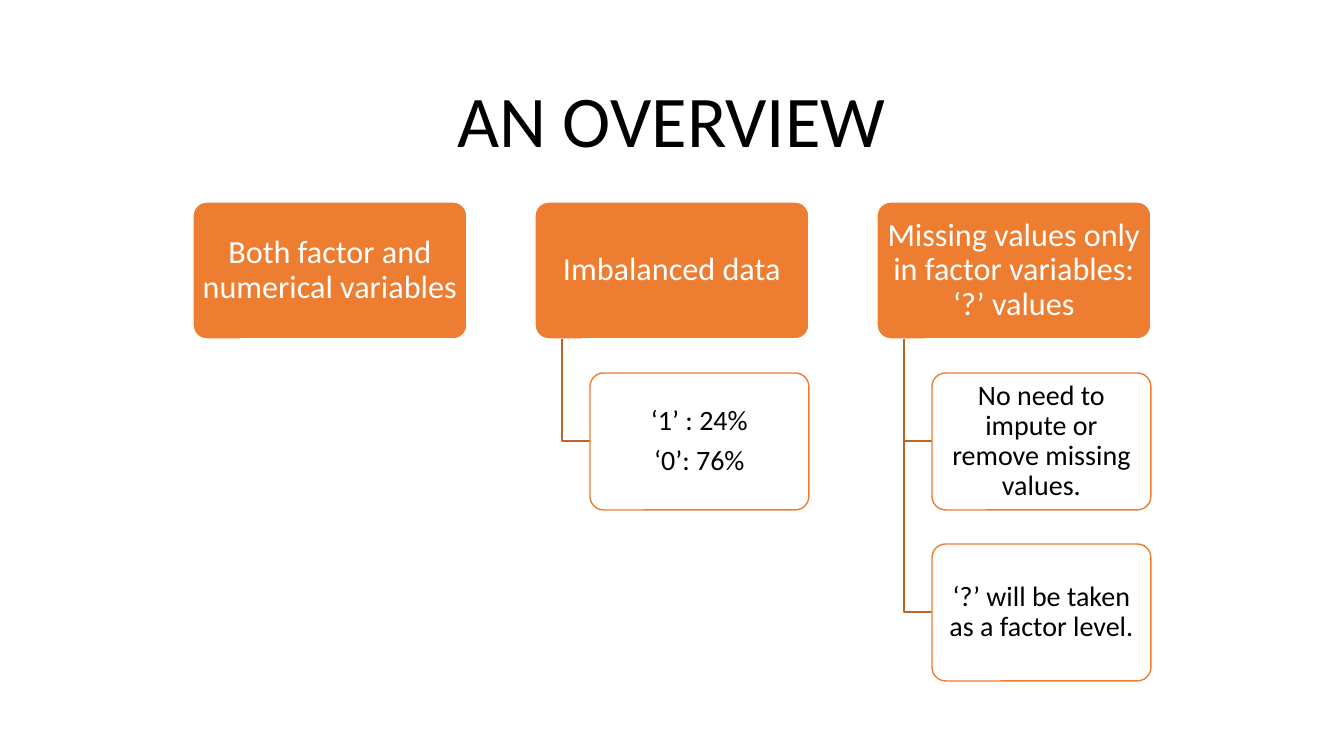
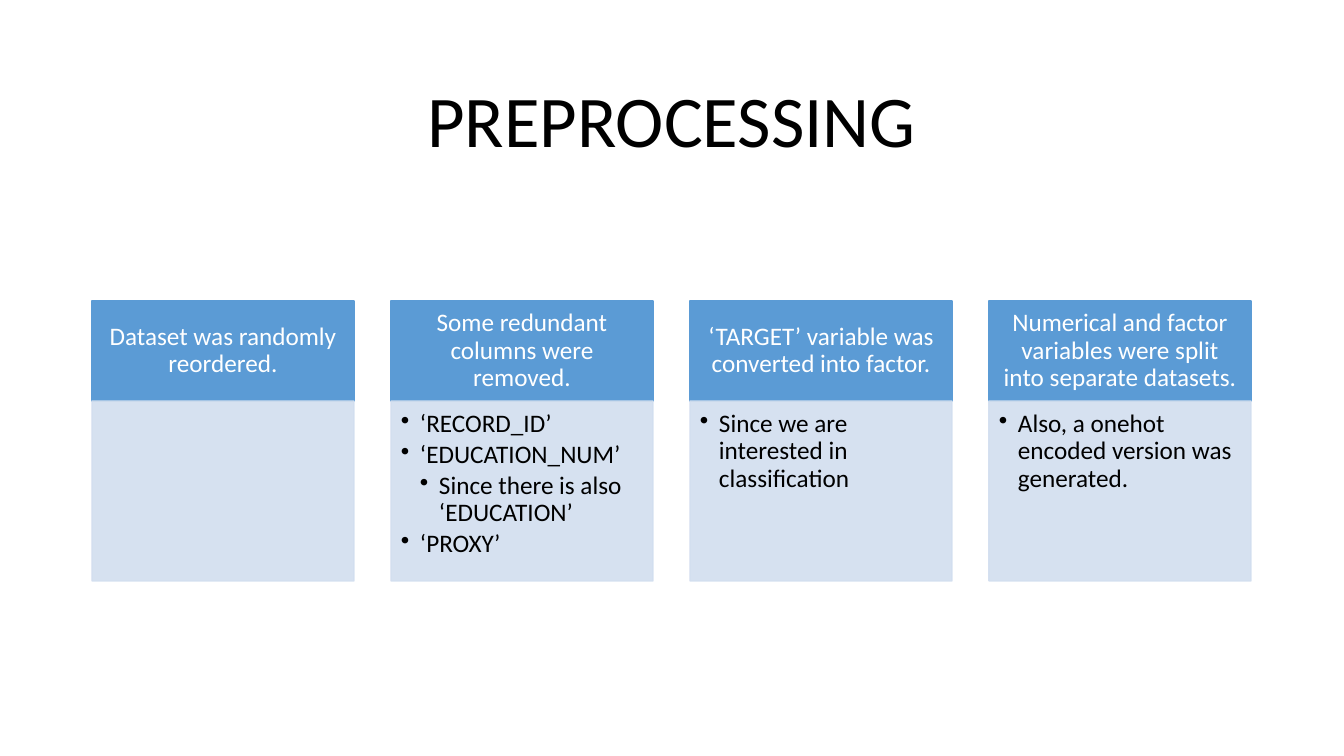
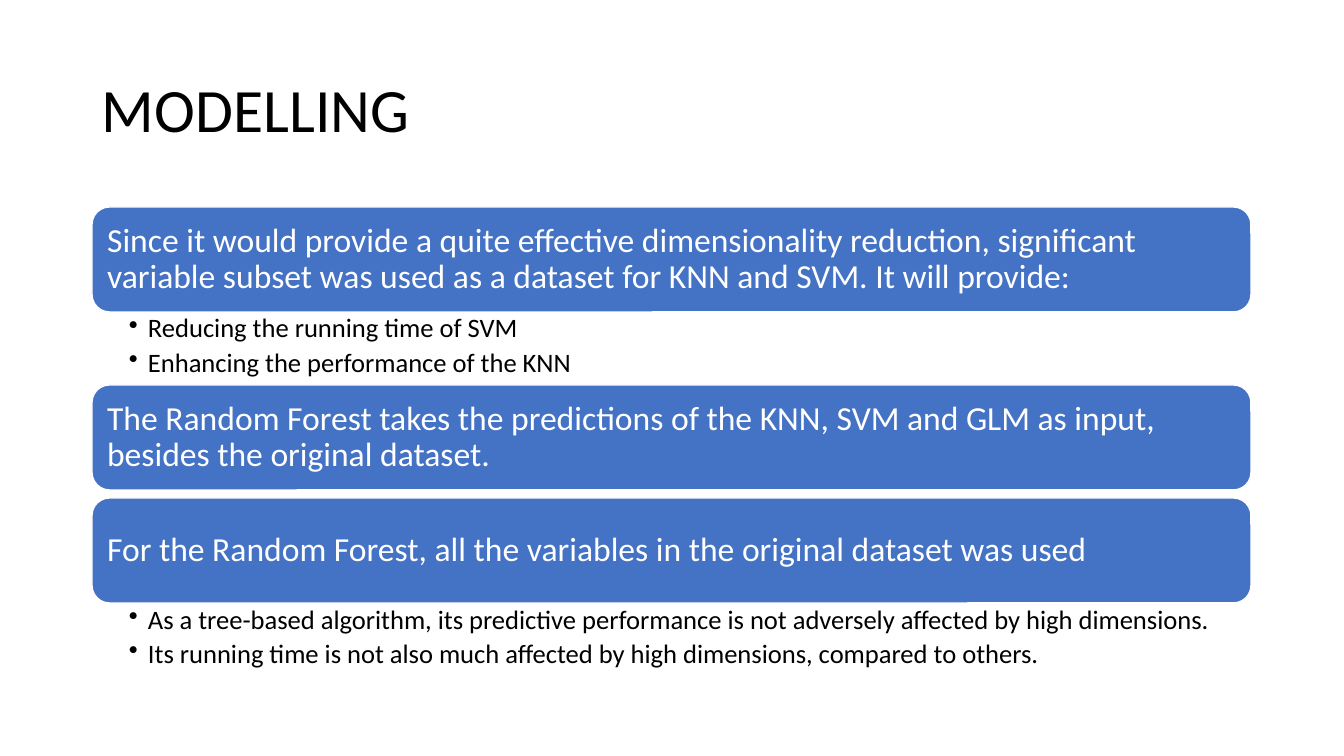
from lxml import etree
from pptx import Presentation
from pptx import util as u
from pptx.dml.color import RGBColor
from pptx.enum import shapes, text
from pptx.oxml.ns import qn

PX = 914400 / 100.8
WHITE, BLACK = "FFFFFF", "000000"
ORANGE, RUST = "ED7D31", "BE6427"
SKY, PALE = "5B9BD5", "D2DEEF"
BLUE = "4472C4"
LEFT, WIDTH = 92, 1159
ROUND, RECT = shapes.MSO_SHAPE.ROUNDED_RECTANGLE, shapes.MSO_SHAPE.RECTANGLE
CENTER, START = text.PP_ALIGN.CENTER, text.PP_ALIGN.LEFT
MIDDLE, TOP = text.MSO_ANCHOR.MIDDLE, text.MSO_ANCHOR.TOP


def px(n):
    return u.Emu(round(n * PX))


def rgb(value):
    return RGBColor.from_string(value)


def assign(obj, values):
    for name, value in values.items():
        setattr(obj, name, value)


class Deck:
    """Holds the shared style and the slide being drawn."""

    font = "Calibri"
    spacing = 0.9
    indent = 19

    def __init__(self):
        self.prs = Presentation()
        assign(self.prs, {"slide_width": px(1344), "slide_height": px(756)})
        self.s = None

    def slide(self, title, top=61, height=125, size=52, align=CENTER):
        self.s = self.prs.slides.add_slide(self.prs.slide_layouts[5])
        sp = self.s.shapes.title
        assign(sp, {"left": px(LEFT), "top": px(top),
                    "width": px(WIDTH), "height": px(height)})
        sp.text_frame.auto_size = text.MSO_AUTO_SIZE.NONE
        self.label(sp, [title], size, BLACK, (10, 5, 10, 5), align)

    def label(self, sp, lines, size, color, inset, align=CENTER, anchor=MIDDLE,
              after=0, bullets=False):
        tf = sp.text_frame
        sides = ("margin_left", "margin_top", "margin_right", "margin_bottom")
        assign(tf, {"word_wrap": True, "vertical_anchor": anchor})
        assign(tf, dict(zip(sides, map(px, inset))))
        for i, line in enumerate(lines):
            level, words = line if isinstance(line, tuple) else (0, line)
            p = tf.add_paragraph() if i else tf.paragraphs[0]
            assign(p, {"alignment": align, "line_spacing": self.spacing,
                       "space_before": u.Pt(0), "space_after": u.Pt(size * after)})
            r = p.add_run()
            r.text = words
            assign(r.font, {"name": self.font, "size": u.Pt(size)})
            r.font.color.rgb = rgb(color)
            if bullets:
                self.bullet(p, level)

    def bullet(self, p, level):
        p.level = level + 1
        pr = p._p.get_or_add_pPr()
        pr.set("marL", str(px(self.indent * (level + 1))))
        pr.set("indent", str(px(-self.indent)))
        etree.SubElement(pr, qn("a:buChar")).set("char", "•")

    def box(self, kind, x, y, w, h, fill, line, adj=None, alpha=None):
        sp = self.s.shapes.add_shape(kind, px(x), px(y), px(w), px(h))
        sp.shadow.inherit = False
        sp.fill.solid()
        sp.fill.fore_color.rgb = rgb(fill)
        self.outline(sp, line)
        if adj is not None:
            sp.adjustments[0] = adj
        if alpha is not None:
            for color in list(sp._element.spPr.iter(qn("a:srgbClr"))):
                etree.SubElement(color, qn("a:alpha")).set("val", str(alpha * 1000))
        return sp

    def outline(self, sp, color):
        sp.line.color.rgb = rgb(color)
        sp.line.width = u.Pt(1)

    def elbow(self, x, y, right, bottom):
        fb = self.s.shapes.build_freeform(x, y, scale=PX)
        fb.add_line_segments([(x, bottom), (right, bottom)], close=False)
        sp = fb.convert_to_shape()
        sp.shadow.inherit = False
        sp.fill.background()
        self.outline(sp, RUST)

    def tree(self, x, y, root, children):
        w, h, step = 274, 137, 171
        sp = self.box(ROUND, x, y, w, h, ORANGE, WHITE, 0.1)
        self.label(sp, [root], 23, WHITE, (5, 3, 5, 3), after=0.35)
        for i, lines in enumerate(children, 1):
            top = y + i * step
            self.elbow(x + 27, y + h, x + 55, top + h // 2)
            sp = self.box(ROUND, x + 55, top, w - 55, h, WHITE, ORANGE, 0.1)
            self.label(sp, lines, 20, BLACK, (4, 3, 4, 3), after=0.35)

    def column(self, x, y, head, lines):
        w, head_h, body_h = 262, 100, 180
        sp = self.box(RECT, x, y, w, head_h, SKY, SKY)
        self.label(sp, [head], 18, WHITE, (14, 8, 14, 8), after=0.35)
        sp = self.box(RECT, x, y + head_h, w, body_h, PALE, PALE, alpha=90)
        self.label(sp, lines, 18, BLACK, (10, 10, 14, 16), START, TOP, 0.15, True)

    def section(self, y, head, lines):
        bar_h, list_h, gap = 105, 73, 8
        sp = self.box(ROUND, LEFT, y, WIDTH, bar_h, BLUE, WHITE)
        self.label(sp, [head], 24, WHITE, (10, 10, 10, 10), START, after=0.35)
        y += bar_h
        if not lines:
            return y + gap
        sp = self.s.shapes.add_textbox(px(LEFT), px(y), px(WIDTH), px(list_h))
        self.label(sp, lines, 19, BLACK, (37, 3, 19, 3), START, TOP, 0.2, True)
        return y + list_h


TREES = [
    ("Both factor and numerical variables", []),
    ("Imbalanced data", [["‘1’ : 24%", "‘0’: 76%"]]),
    ("Missing values only in factor variables: ‘?’ values",
     [["No need to impute or remove missing values."],
      ["‘?’ will be taken as a factor level."]]),
]
COLUMNS = [
    ("Dataset was randomly reordered.", []),
    ("Some redundant columns were removed.",
     ["‘RECORD_ID’", "‘EDUCATION_NUM’", (1, "Since there is also ‘EDUCATION’"),
      "‘PROXY’"]),
    ("‘TARGET’ variable was converted into factor.",
     ["Since we are interested in classification"]),
    ("Numerical and factor variables were split into separate datasets.",
     ["Also, a onehot encoded version was generated."]),
]
SECTIONS = [
    ("Since it would provide a quite effective dimensionality reduction, significant "
     "variable subset was used as a dataset for KNN and SVM. It will provide:",
     ["Reducing the running time of SVM", "Enhancing the performance of the KNN"]),
    ("The Random Forest takes the predictions of the KNN, SVM and GLM as input, "
     "besides the original dataset.", []),
    ("For the Random Forest, all the variables in the original dataset was used",
     ["As a tree-based algorithm, its predictive performance is not adversely "
      "affected by high dimensions.",
      "Its running time is not also much affected by high dimensions, "
      "compared to others."]),
]


def main():
    deck = Deck()
    deck.slide("AN OVERVIEW")
    for i, (root, children) in enumerate(TREES):
        deck.tree(193 + i * 342, 202, root, children)

    deck.slide("PREPROCESSING")
    for i, (head, lines) in enumerate(COLUMNS):
        deck.column(LEFT + i * 299, 301, head, lines)

    deck.slide("MODELLING", top=40, height=146, size=44, align=START)
    y = 207
    for head, lines in SECTIONS:
        y = deck.section(y, head, lines)

    deck.prs.save("out.pptx")


if __name__ == "__main__":
    main()
